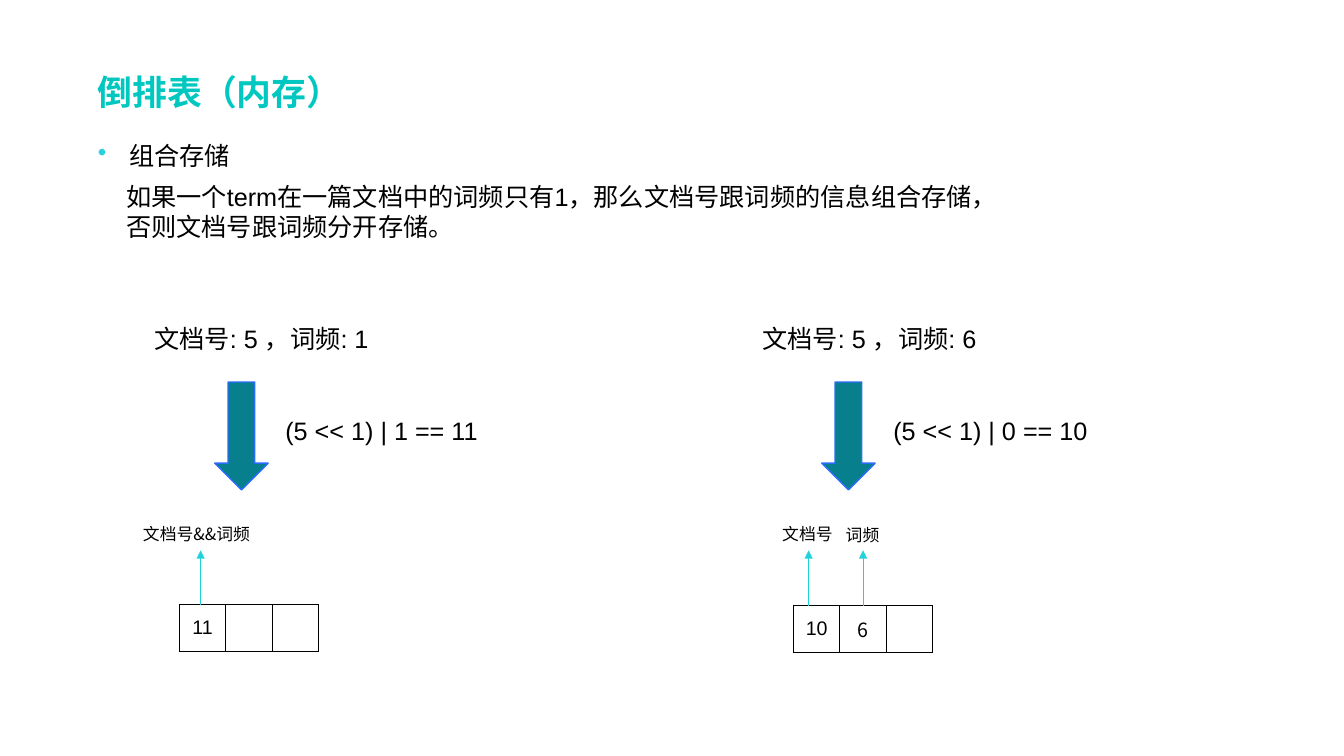
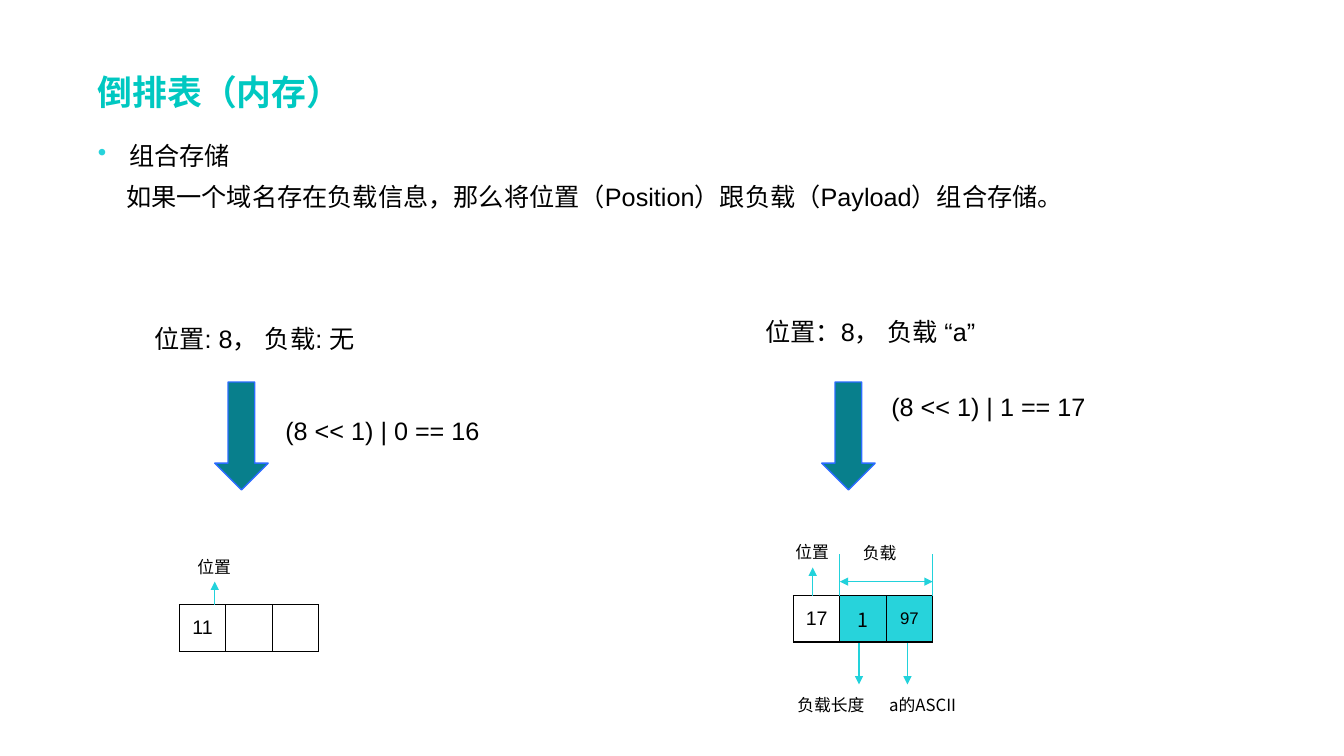
from dataclasses import dataclass

from lxml.etree import SubElement
from pptx import Presentation
from pptx.dml.color import RGBColor
from pptx.enum.shapes import MSO_CONNECTOR as Connector, MSO_SHAPE as Preset
from pptx.enum.text import MSO_ANCHOR as Anchor, PP_ALIGN as Align
from pptx.oxml.ns import qn
from pptx.util import Inches, Pt


@dataclass(frozen=True)
class Theme:
    title_color: str = "00C8C1"
    text_color: str = "000000"
    bullet_color: str = "27D3DB"
    payload_fill: str = "27D3DB"
    plain_fill: str = "FFFFFF"
    pointer_color: str = "22D2DB"
    arrow_fill: str = "087F8C"
    arrow_line: str = "2B6CFF"
    title_font: str = "Noto Sans CJK JP"
    body_font: str = "Arial"
    label_font: str = "Noto Sans CJK SC"
    title_size: float = 24.9
    body_size: float = 18
    cell_size: float = 14
    label_size: float = 12


theme = Theme()
CELL = 0.46
BODY = {"inset": 0.05}
LABEL = {"size": theme.label_size, "font": theme.label_font, "wrap": False}


def write(frame, text, size=theme.body_size, font=theme.body_font,
          color=theme.text_color, bold=False, align=Align.LEFT,
          anchor=Anchor.TOP, inset=0.1, wrap=True, bullet=False):
    """Fill a text frame, one paragraph per line of text."""
    frame.word_wrap = wrap
    frame.vertical_anchor = anchor
    frame.margin_left = frame.margin_right = Inches(inset)
    frame.margin_top = frame.margin_bottom = Inches(0.05)
    for index, line in enumerate(text.split("\n")):
        paragraph = frame.add_paragraph() if index else frame.paragraphs[0]
        paragraph.alignment = align
        if bullet:
            properties = paragraph._p.get_or_add_pPr()
            properties.set("marL", str(Inches(0.31)))
            properties.set("indent", str(-Inches(0.31)))
            bullet_color = SubElement(properties, qn("a:buClr"))
            SubElement(bullet_color, qn("a:srgbClr"), val=theme.bullet_color)
            SubElement(properties, qn("a:buChar"), char="•")
        run = paragraph.add_run()
        run.text = line
        run.font.size = Pt(size)
        run.font.name = font
        run.font.bold = bold
        run.font.color.rgb = RGBColor.from_string(color)
        SubElement(run._r.get_or_add_rPr(), qn("a:ea"), typeface=font)


def add_pointer(slide, x1, y1, x2, y2, ends):
    """Draw a thin line; ends names the ends that carry an arrowhead."""
    line = slide.shapes.add_connector(
        Connector.STRAIGHT, Inches(x1), Inches(y1), Inches(x2), Inches(y2))
    line.line.color.rgb = RGBColor.from_string(theme.pointer_color)
    line.line.width = Pt(0.75)
    outline = line.line._get_or_add_ln()
    for end in ends:
        SubElement(outline, qn(f"a:{end}"), type="triangle")
    SubElement(line._element.spPr, qn("a:effectLst"))


HEAD, TAIL, BOTH, PLAIN = ["headEnd"], ["tailEnd"], ["headEnd", "tailEnd"], []
LATIN_CELL = {"size": theme.cell_size}
CJK_CELL = {"size": theme.cell_size, "font": theme.label_font}
SMALL_CELL = {"size": theme.label_size}

# Texts: text, left, top, width, height, format
# Tables: left, top, cells as (text, format, fill)
# Pointers: x1, y1, x2, y2, arrowheads
blank_cell = ("", LATIN_CELL, theme.plain_fill)
eleven_table = (1.78, 6, [("11", LATIN_CELL, theme.plain_fill), blank_cell, blank_cell])
slides = [
    {
        "texts": [
            ("如果一个term在一篇文档中的词频只有1，那么文档号跟词频的信息组合存储，\n"
             "否则文档号跟词频分开存储。", 1.2, 1.75, 8.82, 0.71, BODY),
            ("文档号: 5 ，词频: 1", 1.48, 3.16, 2.25, 0.4, BODY),
            ("(5 << 1) | 1 == 11", 2.78, 4.07, 2.05, 0.4, BODY),
            ("文档号: 5 ，词频: 6", 7.51, 3.16, 2.25, 0.4, BODY),
            ("(5 << 1) | 0 == 10", 8.81, 4.07, 2.05, 0.4, BODY),
            ("文档号&&词频", 1.32, 5.15, 1.34, 0.3, LABEL),
            ("文档号", 7.66, 5.15, 0.71, 0.3, LABEL),
            ("词频", 8.29, 5.16, 0.54, 0.3, LABEL),
        ],
        "tables": [
            eleven_table,
            (7.87, 6.01, [("10", LATIN_CELL, theme.plain_fill),
                          ("6", CJK_CELL, theme.plain_fill), blank_cell]),
        ],
        "pointers": [
            (1.99, 5.46, 1.99, 6, HEAD),
            (8.02, 5.46, 8.02, 6.01, HEAD),
            (8.56, 5.46, 8.56, 6.01, HEAD),
        ],
    },
    {
        "texts": [
            ("如果一个域名存在负载信息，那么将位置（Position）跟负载（Payload）组合存储。",
             1.2, 1.75, 9.48, 0.4, BODY),
            ("位置: 8， 负载: 无", 1.48, 3.16, 2.11, 0.4, BODY),
            ("(8 << 1) | 0 == 16", 2.78, 4.07, 2.05, 0.4, BODY),
            ("位置：8， 负载 “a”", 7.54, 3.09, 2.2, 0.4, BODY),
            ("(8 << 1) | 1 == 17", 8.79, 3.83, 2.05, 0.4, BODY),
            ("位置", 1.86, 5.47, 0.54, 0.3, LABEL),
            ("位置", 7.79, 5.33, 0.54, 0.3, LABEL),
            ("负载", 8.46, 5.34, 0.7, 0.3, LABEL),
            ("负载长度", 7.81, 6.84, 0.88, 0.3, LABEL),
            ("a的ASCII", 8.72, 6.84, 0.89, 0.3, LABEL | {"wrap": True}),
        ],
        "tables": [
            eleven_table,
            (7.87, 5.91, [("17", LATIN_CELL, theme.plain_fill),
                          ("1", CJK_CELL, theme.payload_fill),
                          ("97", SMALL_CELL, theme.payload_fill)]),
        ],
        "pointers": [
            (2.13, 5.77, 2.13, 6, HEAD),
            (8.06, 5.63, 8.06, 5.91, HEAD),
            (8.33, 5.5, 8.33, 5.91, PLAIN),
            (9.25, 5.5, 9.25, 5.91, PLAIN),
            (8.33, 5.77, 9.25, 5.77, BOTH),
            (8.52, 6.38, 8.52, 6.79, TAIL),
            (9, 6.38, 9, 6.79, TAIL),
        ],
    },
]

# Texts that every slide carries
shared_texts = [
    ("倒排表（内存）", 0.92, 0.4, 11.5, 1.01,
     BODY | {"size": theme.title_size, "font": theme.title_font, "bold": True,
             "color": theme.title_color, "anchor": Anchor.MIDDLE}),
    ("组合存储", 0.92, 1.34, 1.5, 0.4, BODY | {"bullet": True}),
]

presentation = Presentation()
presentation.slide_width = Inches(13.33)
presentation.slide_height = Inches(7.5)

for content in slides:
    slide = presentation.slides.add_slide(presentation.slide_layouts[6])

    # Title, bullet, explanations and labels
    for text, left, top, width, height, style in shared_texts + content["texts"]:
        box = slide.shapes.add_textbox(
            Inches(left), Inches(top), Inches(width), Inches(height))
        write(box.text_frame, text, **style)

    # Block arrows from the input to the stored form
    for left in (2.13, 8.15):
        arrow = slide.shapes.add_shape(
            Preset.DOWN_ARROW, Inches(left), Inches(3.79), Inches(0.53), Inches(1.07))
        arrow.shadow.inherit = False
        arrow.fill.solid()
        arrow.fill.fore_color.rgb = RGBColor.from_string(theme.arrow_fill)
        arrow.line.color.rgb = RGBColor.from_string(theme.arrow_line)
        arrow.line.width = Pt(1)

    # Storage arrays
    for left, top, cells in content["tables"]:
        table = slide.shapes.add_table(
            1, len(cells), Inches(left), Inches(top),
            Inches(CELL * len(cells)), Inches(CELL)).table
        table.first_row = table.horz_banding = False
        for index, (text, style, fill) in enumerate(cells):
            table.columns[index].width = Inches(CELL)
            cell = table.cell(0, index)
            cell.vertical_anchor = Anchor.MIDDLE
            cell.margin_left = cell.margin_right = Inches(0.03)
            cell.margin_top = cell.margin_bottom = Inches(0.03)
            if text:
                write(cell.text_frame, text, align=Align.CENTER, **style)
                # The cell itself holds anchor and margins
                body = cell.text_frame._txBody.bodyPr
                body.attrib.clear()
            properties = cell._tc.get_or_add_tcPr()
            for side in ("lnL", "lnR", "lnT", "lnB"):
                border = SubElement(properties, qn(f"a:{side}"), w=str(Pt(1)))
                border_fill = SubElement(border, qn("a:solidFill"))
                SubElement(border_fill, qn("a:srgbClr"), val=theme.text_color)
            cell.fill.solid()
            cell.fill.fore_color.rgb = RGBColor.from_string(fill)

    # Thin pointers between cells and labels
    for x1, y1, x2, y2, ends in content["pointers"]:
        add_pointer(slide, x1, y1, x2, y2, ends)

presentation.save("out.pptx")
